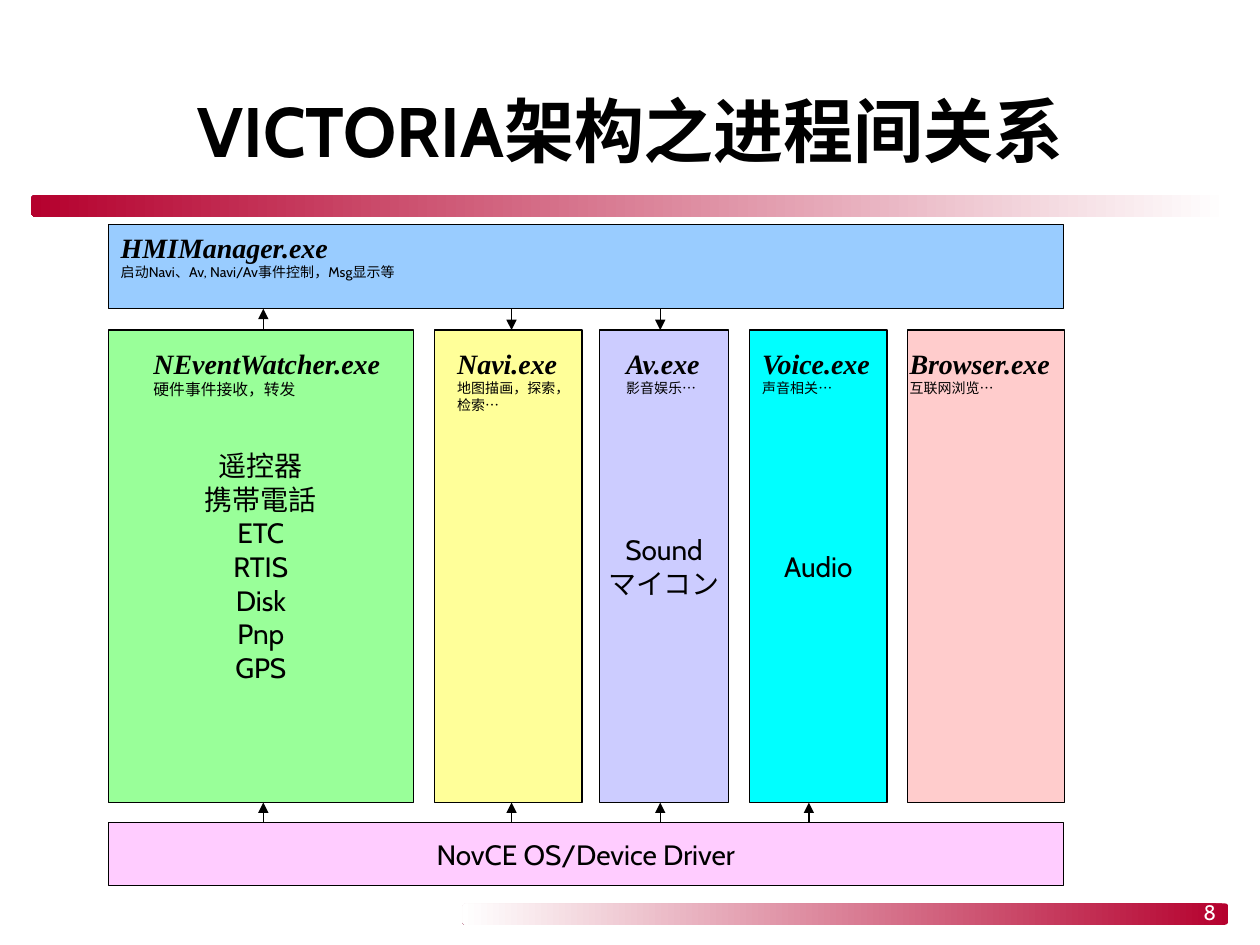
from lxml.etree import SubElement
from pptx import Presentation
from pptx.dml.color import RGBColor
from pptx.enum.shapes import MSO_CONNECTOR, MSO_SHAPE
from pptx.enum.text import MSO_ANCHOR, MSO_AUTO_SIZE, PP_ALIGN
from pptx.oxml.ns import qn
from pptx.util import Inches, Pt

COLORS = {
    "ink": "000000",
    "paper": "FFFFFF",
    "crimson": "B5012E",
    "manager": "99CCFF",
    "watcher": "99FF99",
    "navi": "FFFF99",
    "av": "CCCCFF",
    "voice": "00FFFF",
    "browser": "FFCCCC",
    "driver": "FFCCFF",
}
TITLE = {"name": "Cabin", "size": Pt(40), "bold": True}
LABEL = {"name": "Cabin", "size": Pt(16)}
PROCESS = {"name": "Times New Roman", "size": Pt(16), "bold": True, "italic": True}
DUTY = {"name": "Cabin", "size": Pt(8)}
WATCHER_DUTY = {"name": "Times New Roman", "size": Pt(9)}
PAGE = {"name": "Cabin", "size": Pt(12)}

BAR_LEFT, BAR_WIDTH = 0.86, 7.58
MANAGER_TOP, MANAGER_BOTTOM = 1.78, 2.45
COLUMN_TOP, COLUMN_BOTTOM = 2.62, 6.37
DRIVER_TOP, DRIVER_HEIGHT = 6.53, 0.5
CAPTION_TOP = 2.7

COLUMNS = [
    ("watcher", 0.86, 2.42, ["遥控器", "携帯電話", "ETC", "RTIS", "Disk", "Pnp", "GPS"]),
    ("navi", 3.45, 1.17, []),
    ("av", 4.76, 1.02, ["Sound", "マイコン"]),
    ("voice", 5.95, 1.09, ["Audio"]),
    ("browser", 7.2, 1.25, []),
]
CAPTIONS = [
    ("NEventWatcher.exe", "硬件事件接收，转发", WATCHER_DUTY, 1.12, 2.03, 0.52, False),
    ("Navi.exe", "地图描画，探索，检索…", DUTY, 3.53, 1.08, 0.77, True),
    ("Av.exe", "影音娱乐…", DUTY, 4.87, 0.81, 0.5, False),
    ("Voice.exe", "声音相关…", DUTY, 5.95, 1.08, 0.5, False),
    ("Browser.exe", "互联网浏览…", DUTY, 7.12, 1.32, 0.5, False),
]
WATCHER_X, NAVI_X, AV_X, VOICE_X = 2.09, 4.06, 5.24, 6.42


def color(name):
    """Return the named colour of the palette."""
    return RGBColor.from_string(COLORS[name])


def write(frame, lines, align=PP_ALIGN.LEFT, ink="ink"):
    """Write (text, format) pairs as the paragraphs of a text frame."""
    for index, (text, style) in enumerate(lines):
        paragraph = frame.add_paragraph() if index else frame.paragraphs[0]
        paragraph.alignment = align
        run = paragraph.add_run()
        run.text = text
        for attribute, value in style.items():
            setattr(run.font, attribute, value)
        run.font.color.rgb = color(ink)


def add_title(slide, text):
    """Place and format the title placeholder."""
    title = slide.shapes.title
    place = {"left": 0.17, "top": 0.5, "width": 9.67, "height": 1.05}
    for attribute, value in place.items():
        setattr(title, attribute, Inches(value))
    title.text_frame.auto_size = MSO_AUTO_SIZE.NONE
    title.text_frame.vertical_anchor = MSO_ANCHOR.MIDDLE
    write(title.text_frame, [(text, TITLE)], PP_ALIGN.CENTER)


def add_fading_band(slide, left, top, width, ends):
    """Add a rounded band that fades from right to left between two colours."""
    band = slide.shapes.add_shape(
        MSO_SHAPE.ROUNDED_RECTANGLE,
        Inches(left), Inches(top), Inches(width), Inches(0.17))
    band.shadow.inherit = False
    band.adjustments[0] = 0.167
    band.line.fill.background()
    band.fill.gradient()
    band.fill.gradient_angle = 180
    for stop, name in zip(band.fill.gradient_stops, ends):
        stop.color.rgb = color(name)


def add_block(slide, fill, left, top, width, height, labels=()):
    """Add an outlined rectangle with centred labels."""
    block = slide.shapes.add_shape(
        MSO_SHAPE.RECTANGLE,
        Inches(left), Inches(top), Inches(width), Inches(height))
    block.shadow.inherit = False
    block.fill.solid()
    block.fill.fore_color.rgb = color(fill)
    block.line.color.rgb = color("ink")
    block.line.width = Pt(0.75)
    block.text_frame.word_wrap = False
    block.text_frame.vertical_anchor = MSO_ANCHOR.MIDDLE
    write(block.text_frame, [(label, LABEL) for label in labels], PP_ALIGN.CENTER)


def add_caption(slide, process, duty, duty_style, left, top, width, height, wrap):
    """Add a process name with its duty below."""
    caption = slide.shapes.add_textbox(
        Inches(left), Inches(top), Inches(width), Inches(height))
    caption.text_frame.word_wrap = wrap
    caption.text_frame.auto_size = MSO_AUTO_SIZE.SHAPE_TO_FIT_TEXT
    write(caption.text_frame, [(process, PROCESS), (duty, duty_style)])


def add_arrow(slide, x, start, end):
    """Add a vertical arrow pointing at its end."""
    arrow = slide.shapes.add_connector(
        MSO_CONNECTOR.STRAIGHT, Inches(x), Inches(start), Inches(x), Inches(end))
    arrow.line.color.rgb = color("ink")
    arrow.line.width = Pt(0.75)
    SubElement(arrow.line._get_or_add_ln(), qn("a:tailEnd"), type="triangle")
    SubElement(arrow._element.spPr, qn("a:effectLst"))


def add_page_number(slide, number):
    """Add the page number on the lower band."""
    page = slide.shapes.add_textbox(
        Inches(8.92), Inches(7.09), Inches(0.83), Inches(0.33))
    page.text_frame.word_wrap = True
    write(page.text_frame, [(number, PAGE)], PP_ALIGN.RIGHT, "paper")


def main():
    """Build and save the process relation slide."""
    deck = Presentation()
    deck.slide_width, deck.slide_height = Inches(10), Inches(7.5)
    slide = deck.slides.add_slide(deck.slide_layouts[5])

    add_fading_band(slide, 0.25, 1.55, 9.5, ("paper", "crimson"))
    add_fading_band(slide, 3.67, 7.17, 6.08, ("crimson", "paper"))
    add_title(slide, "VICTORIA架构之进程间关系")

    add_block(slide, "driver", BAR_LEFT, DRIVER_TOP, BAR_WIDTH, DRIVER_HEIGHT,
              ["NovCE OS/Device Driver"])
    for fill, left, width, labels in COLUMNS:
        add_block(slide, fill, left, COLUMN_TOP, width,
                  COLUMN_BOTTOM - COLUMN_TOP, labels)
    for process, duty, style, left, width, height, wrap in CAPTIONS:
        add_caption(slide, process, duty, style, left, CAPTION_TOP,
                    width, height, wrap)

    add_block(slide, "manager", BAR_LEFT, MANAGER_TOP, BAR_WIDTH,
              MANAGER_BOTTOM - MANAGER_TOP)
    add_caption(slide, "HMIManager.exe", "启动Navi、Av, Navi/Av事件控制，Msg显示等",
                DUTY, BAR_LEFT, MANAGER_TOP, 4.21, 0.64, True)

    for x in (WATCHER_X, NAVI_X, AV_X, VOICE_X):
        add_arrow(slide, x, DRIVER_TOP, COLUMN_BOTTOM)
    add_arrow(slide, WATCHER_X, COLUMN_TOP, MANAGER_BOTTOM)
    for x in (NAVI_X, AV_X):
        add_arrow(slide, x, MANAGER_BOTTOM, COLUMN_TOP)

    add_page_number(slide, "8")
    deck.save("out.pptx")


if __name__ == "__main__":
    main()
